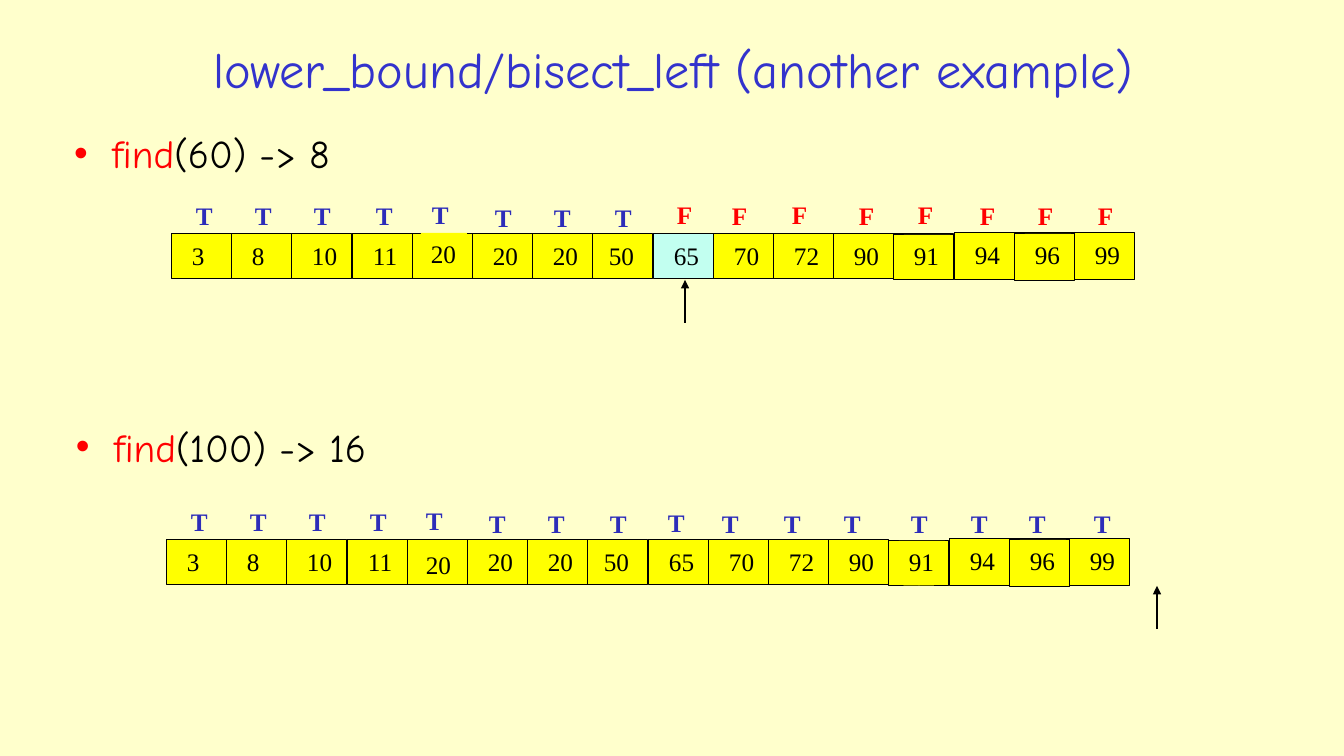
from pptx import Presentation
from pptx import util as u
from pptx.dml import color as col
from pptx.enum import shapes, text
from pptx.oxml import ns
from lxml import etree

PX = 9071  # EMU in one px, 100.8 px to the inch
VALUES = [3, 8, 10, 11, 20, 20, 20, 50, 65, 70, 72, 90, 91, 94, 96, 99]
ROW_SPAN = 903  # from the first cell's left edge to the last cell's
CELL_HEIGHTS = [45] * 12 + [46, 47, 48, 47]
MARK_COLOURS = {"T": "2D2DB9", "F": "FF0000"}


def paint(hex_colour):
    return col.RGBColor.from_string(hex_colour)


def write(para, content, size=18, face="Times New Roman", colour="000000", bold=False):
    span = para.add_run()
    span.text = content
    span.font.size = u.Pt(size)
    span.font.name = face
    span.font.color.rgb = paint(colour)
    span.font.bold = bold


deck = Presentation()
deck.slide_width, deck.slide_height = 1344 * PX, 756 * PX
page = deck.slides.add_slide(deck.slide_layouts[1])
page.background.fill.solid()
page.background.fill.fore_color.rgb = paint("FFFFCC")

# Title
title = page.shapes.title
title.left, title.top, title.width, title.height = (n * PX for n in (64, 26, 1218, 85))
title.text_frame.vertical_anchor = text.MSO_ANCHOR.MIDDLE
title_para = title.text_frame.paragraphs[0]
title_para.alignment = text.PP_ALIGN.CENTER
write(title_para, "lower_bound/bisect_left (another example)",
      size=36, face="Comic Neue", colour="3333CC")

# Bulleted calls
first_call = page.placeholders[1]
second_call = page.shapes.add_textbox(0, 0, PX, PX)
for box, left, top, result in [
    (first_call, 64, 124, "(60) -> 8"),
    (second_call, 66, 418, "(100) -> 16"),
]:
    box.left, box.top, box.width, box.height = (n * PX for n in (left, top, 1233, 55))
    box.text_frame.word_wrap = True
    box.text_frame.auto_size = text.MSO_AUTO_SIZE.NONE
    para = box.text_frame.paragraphs[0]
    para.space_before = u.Pt(0)
    para.line_spacing = 1.0
    props = para._p.get_or_add_pPr()
    props.set("marL", str(38 * PX))
    props.set("indent", str(-38 * PX))
    bullet_colour = etree.SubElement(props, ns.qn("a:buClr"))
    etree.SubElement(bullet_colour, ns.qn("a:srgbClr"), val="FF0000")
    etree.SubElement(props, ns.qn("a:buFont"), typeface="Arial")
    etree.SubElement(props, ns.qn("a:buChar"), char="•")
    write(para, "find", size=28, face="Comic Neue", colour="FF0000")
    write(para, result, size=28, face="Comic Neue")

# Array rows: answers above the cells, an arrow at the index found
rows = [
    dict(left=172, top=234, marks="T" * 8 + "F" * 8, found=8, arrow=685, fifth_drop=-1,
         mark_lefts=[186, 245, 304, 366, 422, 485, 544, 605,
                     667, 722, 782, 849, 908, 970, 1028, 1088],
         mark_tops=[195, 195, 195, 195, 194, 197, 197, 197,
                    194, 195, 194, 195, 194, 195, 195, 195]),
    dict(left=167, top=540, marks="T" * 16, found=16, arrow=1157, fifth_drop=4,
         mark_lefts=[181, 240, 299, 360, 416, 479, 538, 600,
                     658, 712, 774, 834, 901, 961, 1019, 1084],
         mark_tops=[501] * 4 + [500] + [503] * 3 + [502] + [503] * 7),
]
value_shifts = {4: 8, 7: 6}
for row in rows:
    for i, value in enumerate(VALUES):
        # Cell
        cell_left = row["left"] + round(i * ROW_SPAN / 15)
        cell_top = row["top"] - (i > 12)
        fill = "C2FFF0" if i == row["found"] else "FFFF00"
        cell = page.shapes.add_shape(
            shapes.MSO_SHAPE.RECTANGLE,
            *(n * PX for n in (cell_left, cell_top, 60, CELL_HEIGHTS[i])))
        cell.shadow.inherit = False
        cell.line.color.rgb = paint("000000")
        cell.line.width = u.Pt(0.75)

        # Number in the cell, and the answer of the test above it
        mark = row["marks"][i]
        number, answer = (
            page.shapes.add_textbox(*(n * PX for n in place))
            for place in [
                (cell_left + value_shifts.get(i, 10),
                 cell_top + (row["fifth_drop"] if i == 4 else 1),
                 33 if value < 10 else 46, 40),
                (row["mark_lefts"][i], row["mark_tops"][i], 37, 40),
            ]
        )
        for filled in (cell, number):
            filled.fill.solid()
            filled.fill.fore_color.rgb = paint(fill)
        for box, content, style in [
            (number, str(value), {}),
            (answer, mark, dict(colour=MARK_COLOURS[mark], bold=True)),
        ]:
            frame = box.text_frame
            frame.word_wrap = False
            frame.auto_size = text.MSO_AUTO_SIZE.SHAPE_TO_FIT_TEXT
            write(frame.paragraphs[0], content, **style)

    # Arrow pointing up
    x, tip = row["arrow"] * PX, row["top"] + 46
    arrow = page.shapes.add_connector(
        shapes.MSO_CONNECTOR.STRAIGHT, x, (tip + 43) * PX, x, tip * PX)
    arrow.line.color.rgb = paint("000000")
    arrow.line.width = u.Pt(2)
    etree.SubElement(arrow.line._get_or_add_ln(), ns.qn("a:tailEnd"), type="triangle")
    etree.SubElement(arrow._element.spPr, ns.qn("a:effectLst"))

deck.save("out.pptx")
